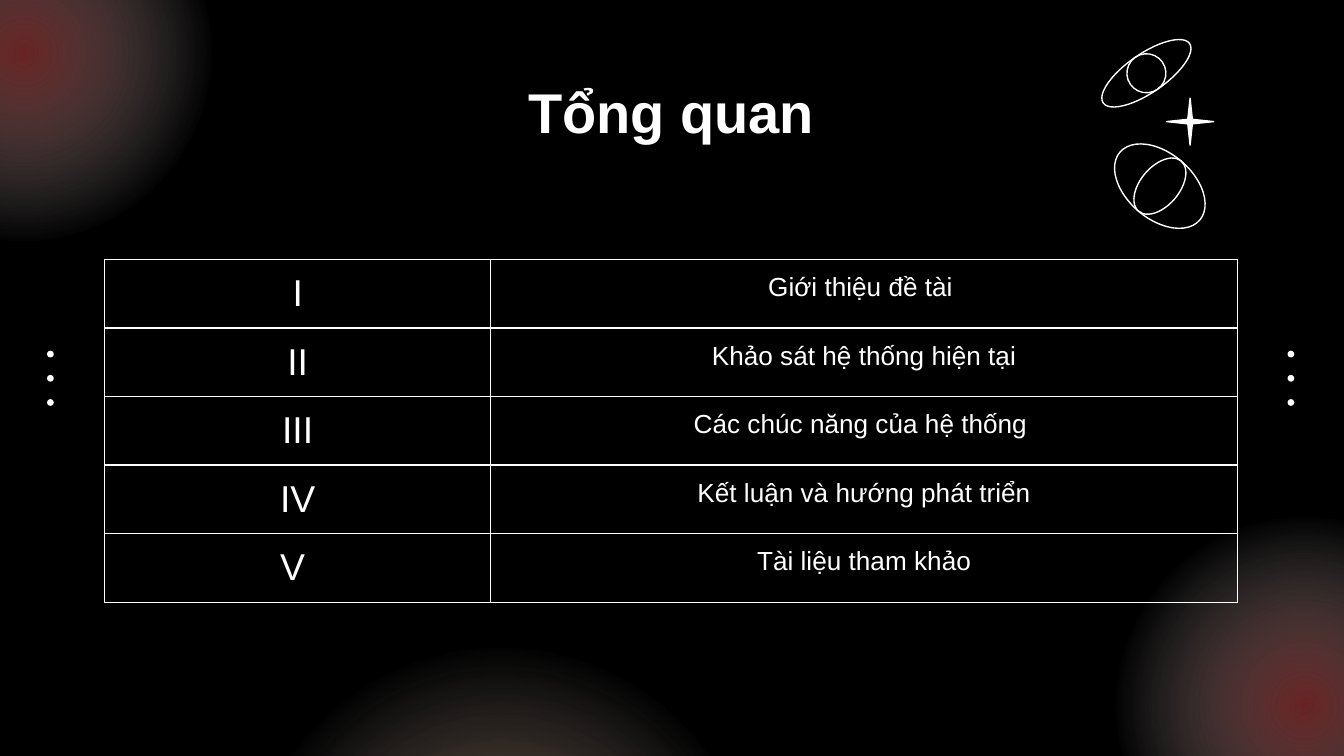
from dataclasses import dataclass

from lxml import etree
from pptx import Presentation
from pptx.dml.color import RGBColor
from pptx.enum.shapes import MSO_SHAPE as Shape
from pptx.enum.text import MSO_ANCHOR as Anchor, PP_ALIGN as Align
from pptx.oxml import parse_xml
from pptx.oxml.ns import nsdecls, qn
from pptx.util import Inches, Pt


@dataclass(frozen=True)
class Theme:
    font: str = "Arial"
    background: str = "000000"
    ink: str = "FFFFFF"
    red: str = "B43C3D"
    orange: str = "F29151"
    title_size: int = 30
    number_size: int = 20
    topic_size: int = 14
    line_width: float = 0.75
    inset: float = 0.1


class SlideBuilder:
    def __init__(self, page, theme):
        self.page = page
        self.theme = theme
        self.ink = RGBColor.from_string(theme.ink)
        page.background.fill.solid()
        page.background.fill.fore_color.rgb = RGBColor.from_string(theme.background)

    def style_text(self, para, size, bold=False):
        para.alignment = Align.CENTER
        para.font.name = self.theme.font
        para.font.size = Pt(size)
        para.font.bold = bold
        para.font.color.rgb = self.ink

    def set_insets(self, target):
        inset = Inches(self.theme.inset)
        target.margin_left = target.margin_right = inset
        target.margin_top = target.margin_bottom = inset

    def shape(self, kind, left, top, width, height, filled=False, outlined=False, parent=None):
        shapes = (parent or self.page).shapes
        shape = shapes.add_shape(kind, Inches(left), Inches(top), Inches(width), Inches(height))
        shape.shadow.inherit = False
        if filled:
            shape.fill.solid()
            shape.fill.fore_color.rgb = self.ink
        else:
            shape.fill.background()
        if outlined:
            shape.line.color.rgb = self.ink
            shape.line.width = Pt(self.theme.line_width)
        else:
            shape.line.fill.background()
        return shape

    def glow(self, left, top, size, color, opacity, fade):
        shape = self.shape(Shape.OVAL, left, top, size, size)
        stops = [(0, color, opacity), (fade, self.theme.ink, 0), (100, self.theme.ink, 0)]
        stop_xml = "".join(
            f'<a:gs pos="{place * 1000}"><a:srgbClr val="{tone}">'
            f'<a:alpha val="{alpha * 1000}"/></a:srgbClr></a:gs>'
            for place, tone, alpha in stops
        )
        gradient = parse_xml(
            f'<a:gradFill {nsdecls("a")} rotWithShape="1"><a:gsLst>{stop_xml}</a:gsLst>'
            '<a:path path="circle"><a:fillToRect l="50000" t="50000" r="50000" b="50000"/>'
            "</a:path></a:gradFill>"
        )
        properties = shape.fill._xPr
        properties.replace(properties.find(qn("a:noFill")), gradient)

    def dots(self, left, top, size=0.05, pitch=0.18, count=3):
        group = self.page.shapes.add_group_shape()
        for index in range(count):
            self.shape(Shape.OVAL, left, top + index * pitch, size, size, filled=True, parent=group)

    def planet(self, left, top, width, height, core, rotation):
        group = self.page.shapes.add_group_shape()
        for oval_width in (width, core):
            oval_left = left + (width - oval_width) / 2
            oval = self.shape(Shape.OVAL, oval_left, top, oval_width, height,
                              outlined=True, parent=group)
            oval.rotation = rotation

    def star(self, left, top, size, depth):
        star = self.shape(Shape.STAR_4_POINT, left, top, size, size, filled=True, outlined=True)
        star.adjustments[0] = depth

    def title(self, text, left, top, width, height):
        box = self.page.shapes.title
        box.left, box.top = Inches(left), Inches(top)
        box.width, box.height = Inches(width), Inches(height)
        frame = box.text_frame
        frame.text = text
        frame.word_wrap = True
        frame.vertical_anchor = Anchor.TOP
        self.set_insets(frame)
        self.style_text(frame.paragraphs[0], self.theme.title_size, bold=True)

    def border(self, cell):
        properties = cell._tc.get_or_add_tcPr()
        for index, side in enumerate(("lnL", "lnR", "lnT", "lnB")):
            line = etree.Element(qn(f"a:{side}"), w=str(Pt(self.theme.line_width)))
            fill = etree.SubElement(line, qn("a:solidFill"))
            etree.SubElement(fill, qn("a:srgbClr"), val=self.theme.ink)
            properties.insert(index, line)

    def table(self, topics, left, top, widths, row_height):
        frame = self.page.shapes.add_table(
            len(topics), len(widths), Inches(left), Inches(top),
            Inches(sum(widths)), Inches(row_height * len(topics)))
        table = frame.table
        table.first_row = table.horz_banding = False
        for column, width in zip(table.columns, widths):
            column.width = Inches(width)
        sizes = (self.theme.number_size, self.theme.topic_size)
        for row, texts in zip(table.rows, topics):
            row.height = Inches(row_height)
            for cell, text, size in zip(row.cells, texts, sizes):
                cell.text = text
                cell.fill.background()
                self.set_insets(cell)
                self.border(cell)
                para = cell.text_frame.paragraphs[0]
                self.style_text(para, size)
                if size == self.theme.topic_size:
                    para.space_after = Pt(16)


def main():
    deck = Presentation()
    deck.slide_width, deck.slide_height = Inches(10), Inches(10 * 9 / 16)
    theme = Theme()
    slide = SlideBuilder(deck.slides.add_slide(deck.slide_layouts[5]), theme)

    slide.glow(-1.82, -1.6, 3.98, theme.red, opacity=58, fade=50)
    slide.glow(7.71, 3.26, 3.98, theme.red, opacity=58, fade=50)
    slide.glow(0.83, 3.84, 5.79, theme.orange, opacity=49, fade=47)
    for left in (0.35, 9.58):
        slide.dots(left, 2.61)

    slide.title("Tổng quan", 0.78, 0.48, 8.43, 0.63)
    topics = [
        ("I", "Giới thiệu đề tài "),
        ("II", "Khảo sát hệ thống hiện tại"),
        ("III", "Các chúc năng của hệ thống "),
        ("IV", "Kết luận và hướng phát triển"),
        ("V ", "Tài liệu tham khảo"),
    ]
    slide.table(topics, 0.78, 1.93, widths=(2.87, 5.56), row_height=0.51)

    slide.planet(8.14, 0.4, 0.78, 0.29, core=0.29, rotation=145.5)
    slide.planet(8.24, 1.14, 0.78, 0.49, core=0.29, rotation=220.3)
    slide.star(8.68, 0.73, 0.35, depth=0.069)
    deck.save("out.pptx")


if __name__ == "__main__":
    main()
